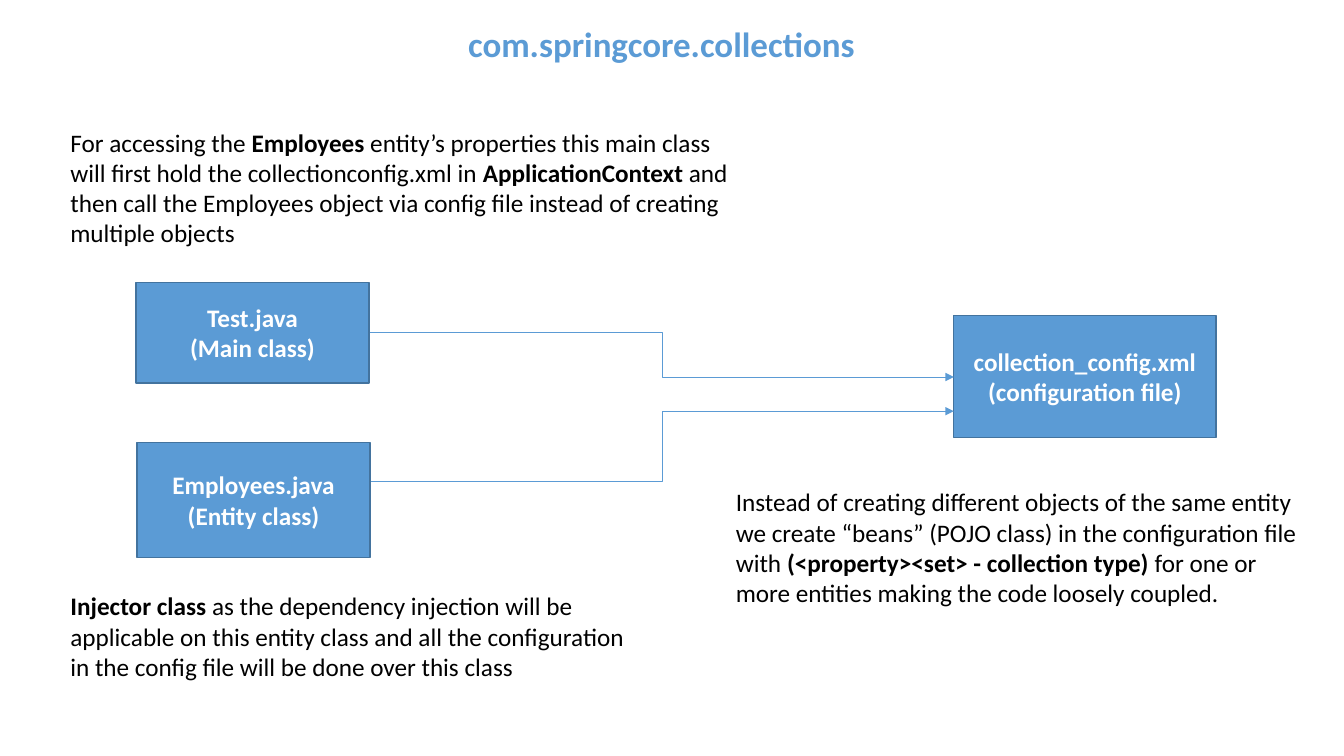
from dataclasses import dataclass

from lxml import etree
from pptx import Presentation
from pptx.dml.color import RGBColor
from pptx.enum.shapes import MSO_CONNECTOR, MSO_SHAPE
from pptx.enum.text import MSO_ANCHOR, PP_ALIGN
from pptx.oxml.ns import qn
from pptx.util import Inches, Pt

RECTANGLE = MSO_SHAPE.RECTANGLE
ELBOW = MSO_CONNECTOR.ELBOW
CENTER, LEFT = PP_ALIGN.CENTER, PP_ALIGN.LEFT
MIDDLE, TOP = MSO_ANCHOR.MIDDLE, MSO_ANCHOR.TOP


@dataclass(frozen=True)
class Theme:
    """Colours, font and sizes of the slide."""
    accent: RGBColor = RGBColor(0x5B, 0x9B, 0xD5)
    outline: RGBColor = RGBColor(0x43, 0x73, 0x9E)
    text: RGBColor = RGBColor(0, 0, 0)
    box_text: RGBColor = RGBColor(0xFF, 0xFF, 0xFF)
    font: str = "Calibri"
    title_size: Pt = Pt(25)
    body_size: Pt = Pt(18)
    outline_width: Pt = Pt(1)
    arrow_width: Pt = Pt(0.5)


THEME = Theme()


def style_paragraph(paragraph, size, color, bold=None, alignment=LEFT):
    """Set the font and alignment of a whole paragraph."""
    font = paragraph.font
    font.name, font.size, font.bold = THEME.font, size, bold
    font.color.rgb = color
    paragraph.alignment = alignment


def add_text_frame(slide, left, top, width, height, anchor=TOP):
    """Add a wrapping text box and return its text frame."""
    box = slide.shapes.add_textbox(
        Inches(left), Inches(top), Inches(width), Inches(height))
    frame = box.text_frame
    frame.word_wrap = True
    frame.vertical_anchor = anchor
    return frame


def add_title(slide, text):
    """Add the centred slide title."""
    frame = add_text_frame(slide, 0.81, -0.27, 11.5, 1.45, MIDDLE)
    paragraph = frame.paragraphs[0]
    paragraph.text = text
    paragraph.line_spacing = 0.9
    style_paragraph(paragraph, THEME.title_size, THEME.accent, True, CENTER)


def add_note(slide, left, top, width, height, *pieces):
    """Add an explanation from (text, bold) pieces."""
    paragraph = add_text_frame(slide, left, top, width, height).paragraphs[0]
    style_paragraph(paragraph, THEME.body_size, THEME.text)
    for text, bold in pieces:
        run = paragraph.add_run()
        run.text = text
        run.font.bold = bold


def add_file_box(slide, left, top, width, height, file_name, role):
    """Add a filled box naming a file and its role."""
    box = slide.shapes.add_shape(
        RECTANGLE, Inches(left), Inches(top), Inches(width), Inches(height))
    box.shadow.inherit = False
    box.fill.solid()
    box.fill.fore_color.rgb = THEME.accent
    box.line.color.rgb = THEME.outline
    box.line.width = THEME.outline_width
    frame = box.text_frame
    frame.word_wrap = True
    frame.vertical_anchor = MIDDLE
    frame.text = f"{file_name}\n({role})"
    for paragraph in frame.paragraphs:
        style_paragraph(paragraph, THEME.body_size, THEME.box_text, True, CENTER)


def add_elbow_arrow(slide, start, end):
    """Add a bent arrow between two (x, y) points."""
    arrow = slide.shapes.add_connector(
        ELBOW, *(Inches(value) for value in (*start, *end)))
    arrow.line.color.rgb = THEME.accent
    arrow.line.width = THEME.arrow_width
    line = arrow.line._get_or_add_ln()
    etree.SubElement(line, qn("a:tailEnd"), type="triangle")
    etree.SubElement(arrow._element.spPr, qn("a:effectLst"))


def main():
    """Build the slide and save it."""
    presentation = Presentation()
    presentation.slide_width = Inches(13.33)
    presentation.slide_height = Inches(7.5)
    slide = presentation.slides.add_slide(presentation.slide_layouts[6])

    add_title(slide, "com.springcore.collections")

    add_file_box(slide, 1.35, 2.8, 2.31, 1, "Test.java", "Main class")
    add_file_box(slide, 9.46, 3.13, 2.6, 1.21,
                 "collection_config.xml", "configuration file")
    add_file_box(slide, 1.36, 4.39, 2.31, 1.14, "Employees.java", "Entity class")

    add_elbow_arrow(slide, (3.67, 3.3), (9.46, 3.74))
    add_elbow_arrow(slide, (3.68, 4.78), (9.46, 4.08))

    add_note(slide, 0.6, 1.21, 6.9, 1.31,
             ("For accessing the ", False),
             ("Employees", True),
             (" entity’s properties this main class will first hold the "
              "collectionconfig.xml in ", False),
             ("ApplicationContext", True),
             (" and then call the Employees object via config file instead of "
              "creating multiple objects", False))
    add_note(slide, 7.2, 4.78, 5.94, 1.62,
             ("Instead of creating different objects of the same entity we "
              "create “beans” (POJO class) in the configuration file with ",
              False),
             ("(<property><set> - collection type)", True),
             (" for one or more entities making the code loosely coupled.",
              False))
    add_note(slide, 0.6, 5.81, 5.71, 1.31,
             ("Injector class", True),
             (" as the dependency injection will be applicable on this entity "
              "class and all the configuration in the config file will be done "
              "over this class", False))

    presentation.save("out.pptx")


main()
